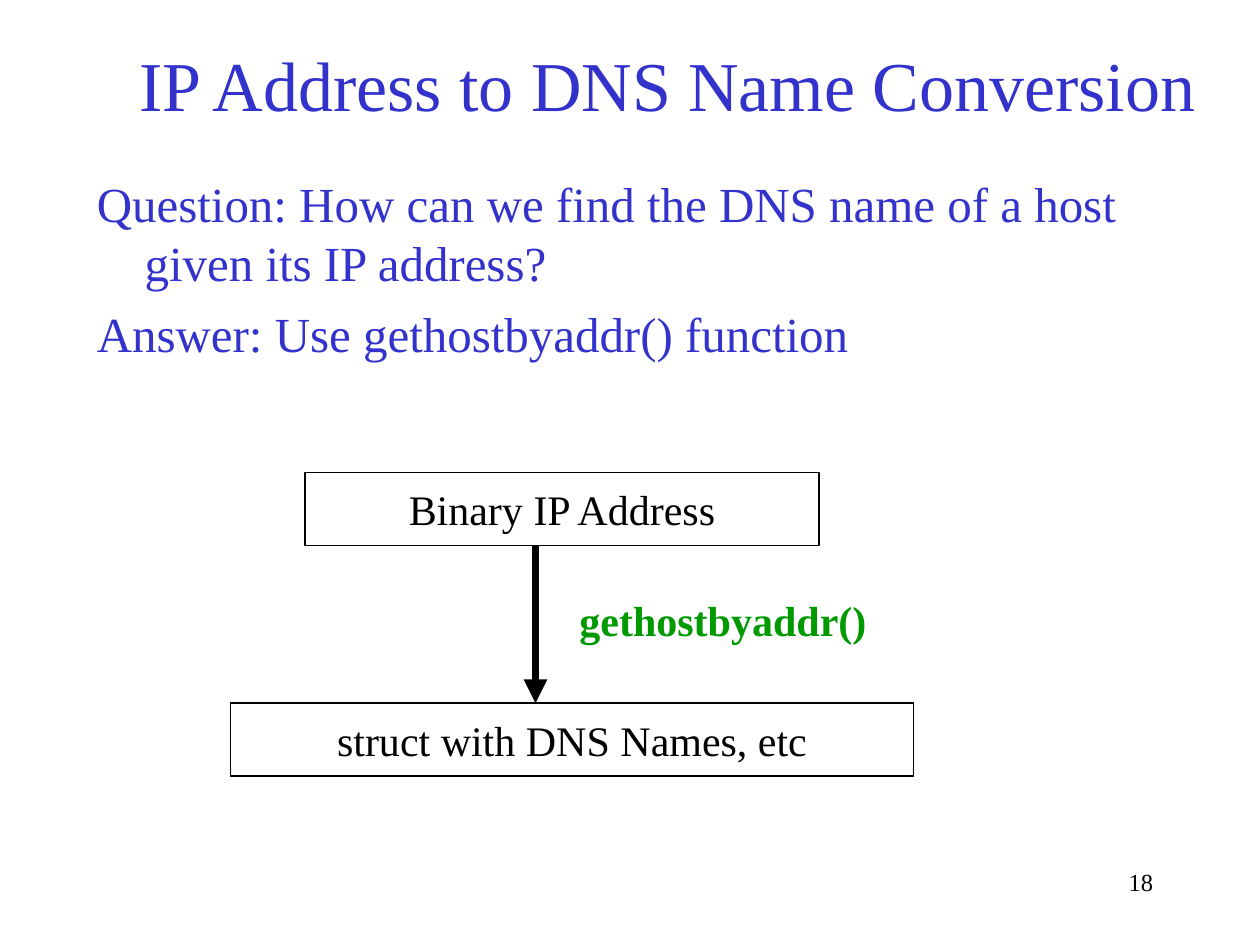
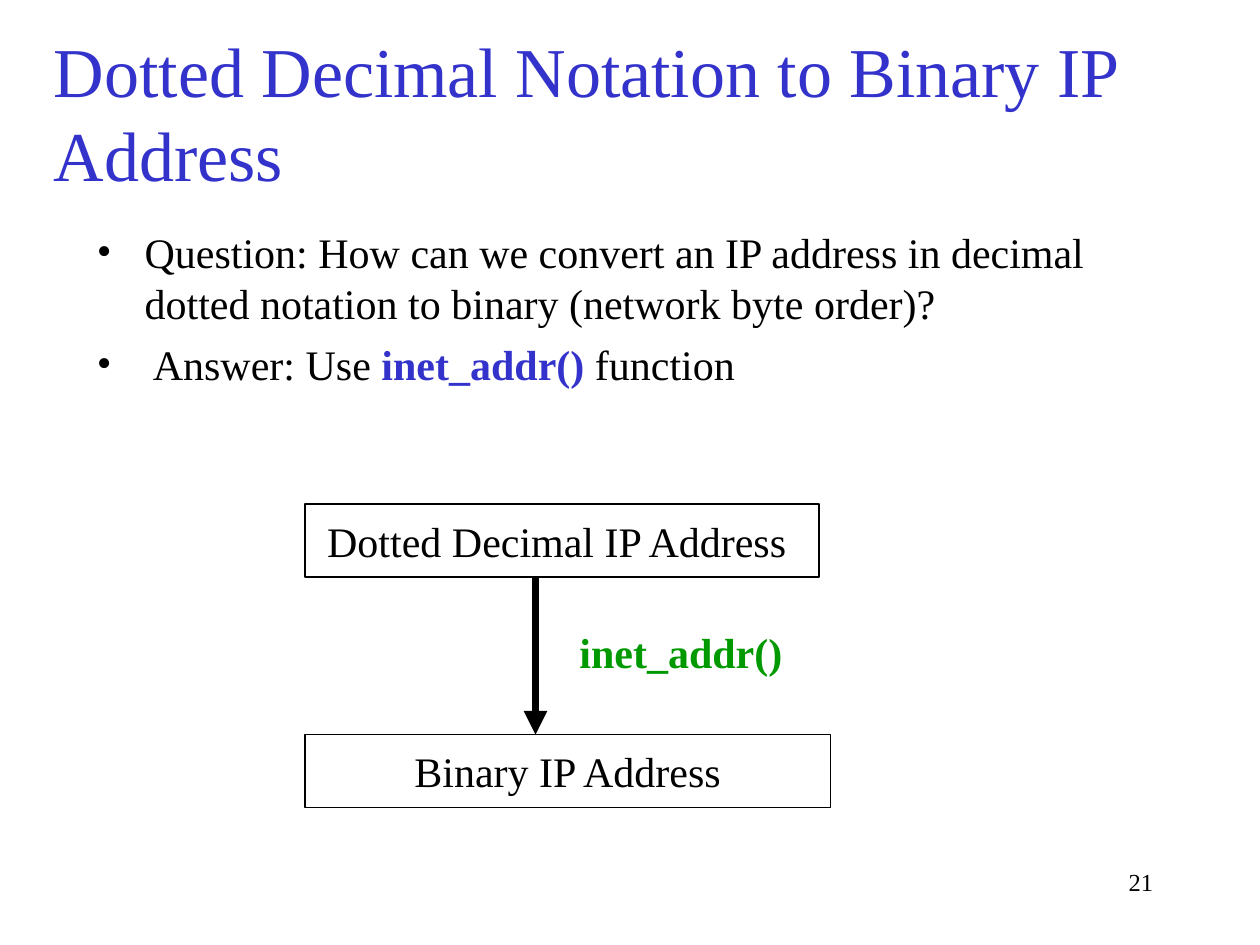
import pptx
import pptx.util
import pptx.dml.color
import pptx.enum.shapes
import pptx.enum.text
import pptx.oxml
import pptx.oxml.ns

Inches = pptx.util.Inches
Pt = pptx.util.Pt
ALIGN = pptx.enum.text.PP_ALIGN
ANCHOR = pptx.enum.text.MSO_ANCHOR

FONT = "Times New Roman"
COLORS = {"paper": "FFFFFF", "ink": "000000", "blue": "3333CC", "green": "009900"}
BODY_INDENT = 0.38
BOX_HEIGHT = 0.58
ARROW_LENGTH = 1.25


def color(name):
    return pptx.dml.color.RGBColor.from_string(COLORS[name])


def add_span(para, text, size, color_name="ink", bold=False):
    span = para.add_run()
    span.text = text
    span.font.name = FONT
    span.font.size = Pt(size)
    span.font.bold = bold
    span.font.color.rgb = color(color_name)


def add_text(shapes, box, text, size, color_name="ink", bold=False,
             align=ALIGN.LEFT, wrap=True):
    frame = shapes.add_textbox(*map(Inches, box)).text_frame
    frame.word_wrap = wrap
    para = frame.paragraphs[0]
    para.alignment = align
    add_span(para, text, size, color_name, bold)


def add_xml(parent, tag, **attributes):
    child = pptx.oxml.parse_xml(f"<a:{tag} {pptx.oxml.ns.nsdecls('a')}/>")
    for name, value in attributes.items():
        child.set(name, value)
    parent.append(child)


# Title and page number
def add_title(page, box, text, wrap=True):
    add_text(page.shapes, box, text, 40, "blue", wrap=wrap)


def add_page_number(page, number):
    add_text(page.shapes, (7.17, 6.83, 2.08, 0.5), str(number), 14, align=ALIGN.RIGHT)


# Question and answer, each paragraph a list of (text, color, bold)
def add_body(page, box, paragraphs, size, space_before, bulleted=False):
    frame = page.shapes.add_textbox(*map(Inches, box)).text_frame
    frame.word_wrap = True
    for index, spans in enumerate(paragraphs):
        para = frame.add_paragraph() if index else frame.paragraphs[0]
        para.space_before = Pt(space_before)
        properties = para._p.get_or_add_pPr()
        properties.set("marL", str(Inches(BODY_INDENT)))
        properties.set("indent", str(-Inches(BODY_INDENT)))
        if bulleted:
            add_xml(properties, "buFont", typeface=FONT)
            add_xml(properties, "buChar", char="•")
        for text, color_name, bold in spans:
            add_span(para, text, size, color_name, bold)


# Conversion diagram: input box, arrow with function name, output box
def add_node(shapes, left, top, width, text):
    node = shapes.add_shape(pptx.enum.shapes.MSO_SHAPE.RECTANGLE,
                            *map(Inches, (left, top, width, BOX_HEIGHT)))
    node.shadow.inherit = False
    node.fill.solid()
    node.fill.fore_color.rgb = color("paper")
    node.line.color.rgb = color("ink")
    node.line.width = Pt(0.75)
    frame = node.text_frame
    frame.word_wrap = False
    frame.vertical_anchor = ANCHOR.MIDDLE
    para = frame.paragraphs[0]
    para.alignment = ALIGN.CENTER
    add_span(para, text, 24)


def add_arrow(shapes, x, top, bottom):
    arrow = shapes.add_connector(pptx.enum.shapes.MSO_CONNECTOR.STRAIGHT,
                                 *map(Inches, (x, top, x, bottom)))
    arrow.line.color.rgb = color("ink")
    arrow.line.width = Pt(4.5)
    add_xml(arrow.line._get_or_add_ln(), "tailEnd", type="triangle")
    add_xml(arrow._element.spPr, "effectLst")


def add_conversion(page, top, source, function, result):
    """source and result are (left, width, text); function is (width, name)."""
    shapes = page.shapes.add_group_shape().shapes
    arrow_top = top + BOX_HEIGHT
    arrow_bottom = arrow_top + ARROW_LENGTH
    for node_top, (left, width, text) in ((top, source), (arrow_bottom, result)):
        add_node(shapes, left, node_top, width, text)
    add_arrow(shapes, 4.25, arrow_top, arrow_bottom)
    width, name = function
    add_text(shapes, (4.5, top + 0.92, width, 0.5), name, 24, "green", True, wrap=False)


def build_name_page(page):
    add_page_number(page, 18)
    add_body(page, (0.67, 1.33, 8.83, 1.67), [
        [("Question: How can we find the DNS name of a host given its IP address?",
          "blue", False)],
        [("Answer: Use gethostbyaddr() function", "blue", False)],
    ], 28, 7)
    add_title(page, (1.01, 0.28, 8.63, 0.77), "IP Address to DNS Name Conversion",
              wrap=False)
    add_conversion(page, 3.75, (2.42, 4.08, "Binary IP Address"),
                   (2.48, "gethostbyaddr()"),
                   (1.83, 5.42, "struct with DNS Names, etc"))


def build_binary_page(page):
    add_page_number(page, 21)
    add_body(page, (0.67, 1.75, 8.5, 1.75), [
        [("Question: How can we convert an IP address in decimal dotted notation "
          "to binary (network byte order)?", "ink", False)],
        [(" Answer: Use ", "ink", False), ("inet_addr()", "blue", True),
         (" function", "ink", False)],
    ], 24, 6, bulleted=True)
    add_title(page, (0.33, 0.17, 9.33, 1.44),
              "Dotted Decimal Notation to Binary IP Address")
    add_conversion(page, 4, (2.42, 4.08, "Dotted Decimal IP Address "),
                   (1.81, "inet_addr()"), (2.42, 4.17, "Binary IP Address"))


def main():
    deck = pptx.Presentation()
    deck.slide_width, deck.slide_height = Inches(10), Inches(7.5)
    for build in (build_name_page, build_binary_page):
        page = deck.slides.add_slide(deck.slide_layouts[6])
        page.background.fill.solid()
        page.background.fill.fore_color.rgb = color("paper")
        build(page)
    deck.save("out.pptx")


if __name__ == "__main__":
    main()
